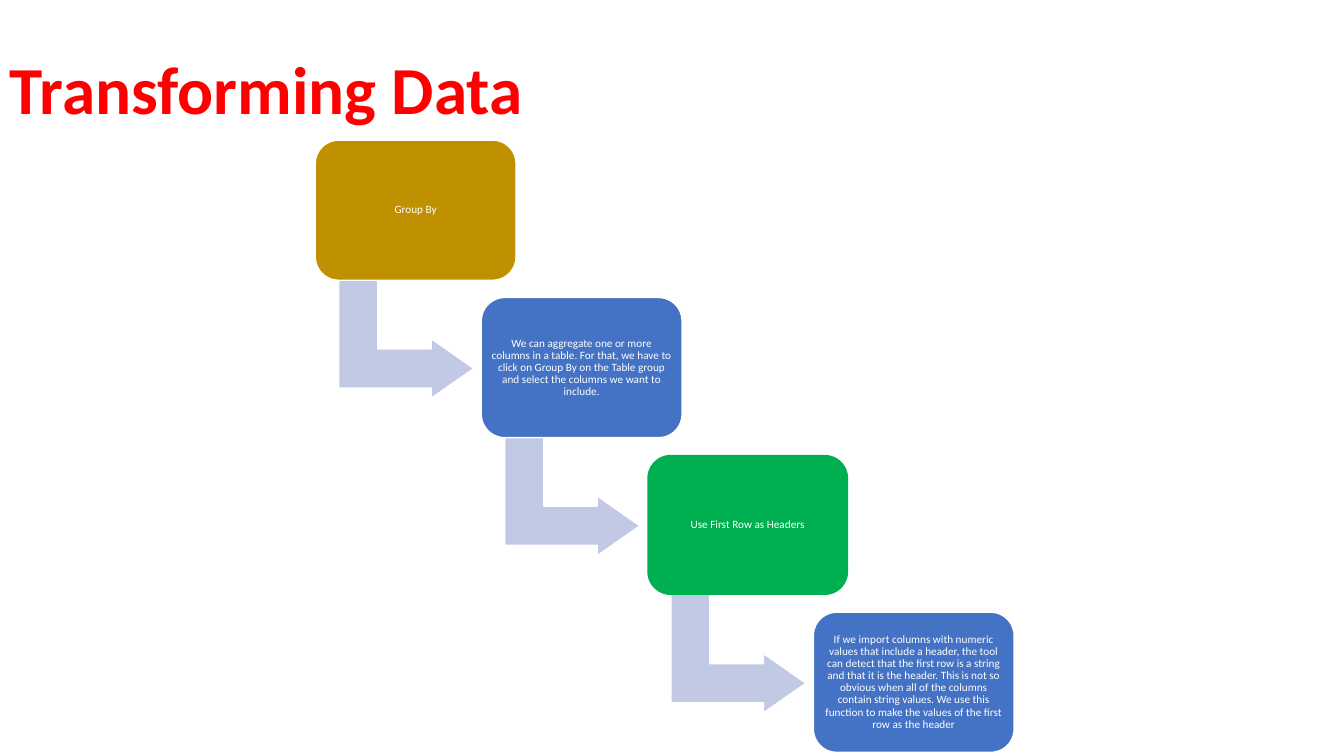
from pptx import Presentation
from pptx.dml.color import RGBColor
from pptx.enum.shapes import MSO_SHAPE
from pptx.enum.text import MSO_ANCHOR, PP_ALIGN
from pptx.util import Pt

TITLE = "Transforming Data"
STEPS = [
    ("Group By", "BF9000", True),
    ("We can aggregate one or more columns in a table. For that, we have to "
     "click on Group By on the Table group and select the columns we want to "
     "include.", "4472C4", True),
    ("Use First Row as Headers", "00B050", False),
    ("If we import columns with numeric values that include a header, the tool "
     "can detect that the first row is a string and that it is the header. "
     "This is not so obvious when all of the columns contain string values. "
     "We use this function to make the values of the first row as the header",
     "4472C4", True),
]
LEFT, TOP = 225.2, 100.1
WIDE, HIGH = 143.4, 100.1
STEP_X, STEP_Y = 118.6, 112.4
ARROW = (22.5, 93.6, 85, 96.5)
BENDS = (0.328, 0.25, 0.358)


def color(code):
    return RGBColor.from_string(code)


def write(frame, text, size, code, inset=None):
    frame.word_wrap = True
    frame.vertical_anchor = MSO_ANCHOR.MIDDLE
    if inset is not None:
        frame.margin_left = frame.margin_right = Pt(inset)
        frame.margin_top = frame.margin_bottom = Pt(inset)
    para = frame.paragraphs[0]
    para.text = text
    para.line_spacing = 0.9
    para.font.name = "Calibri"
    para.font.size = Pt(size)
    para.font.color.rgb = color(code)
    return para


def draw(kind, x, y, w, h, fill, bends, edge=True):
    shape = slide.shapes.add_shape(kind, Pt(x), Pt(y), Pt(w), Pt(h))
    shape.shadow.inherit = False
    shape.fill.solid()
    shape.fill.fore_color.rgb = color(fill)
    if edge:
        shape.line.color.rgb = color("FFFFFF")
        shape.line.width = Pt(1)
    else:
        shape.line.fill.background()
    for i, bend in enumerate(bends):
        shape.adjustments[i] = bend
    return shape


deck = Presentation()
deck.slide_width, deck.slide_height = Pt(960), Pt(540)
slide = deck.slides.add_slide(deck.slide_layouts[6])

title = slide.shapes.add_textbox(0, 0, Pt(960), Pt(132.5))
write(title.text_frame, TITLE, 48, "FF0000").font.bold = True

for i, (text, fill, edge) in enumerate(STEPS):
    x, y = LEFT + i * STEP_X, TOP + i * STEP_Y
    if i < len(STEPS) - 1:
        dx, dy, w, h = ARROW
        arrow = draw(MSO_SHAPE.BENT_UP_ARROW, x + dx, y + dy, w, h,
                     "C1C9E4", BENDS)
        arrow.rotation = 90
    box = draw(MSO_SHAPE.ROUNDED_RECTANGLE, x, y, WIDE, HIGH,
               fill, [0.167], edge)
    para = write(box.text_frame, text, 8, "FFFFFF", 2.2)
    para.alignment = PP_ALIGN.CENTER

deck.save("out.pptx")
